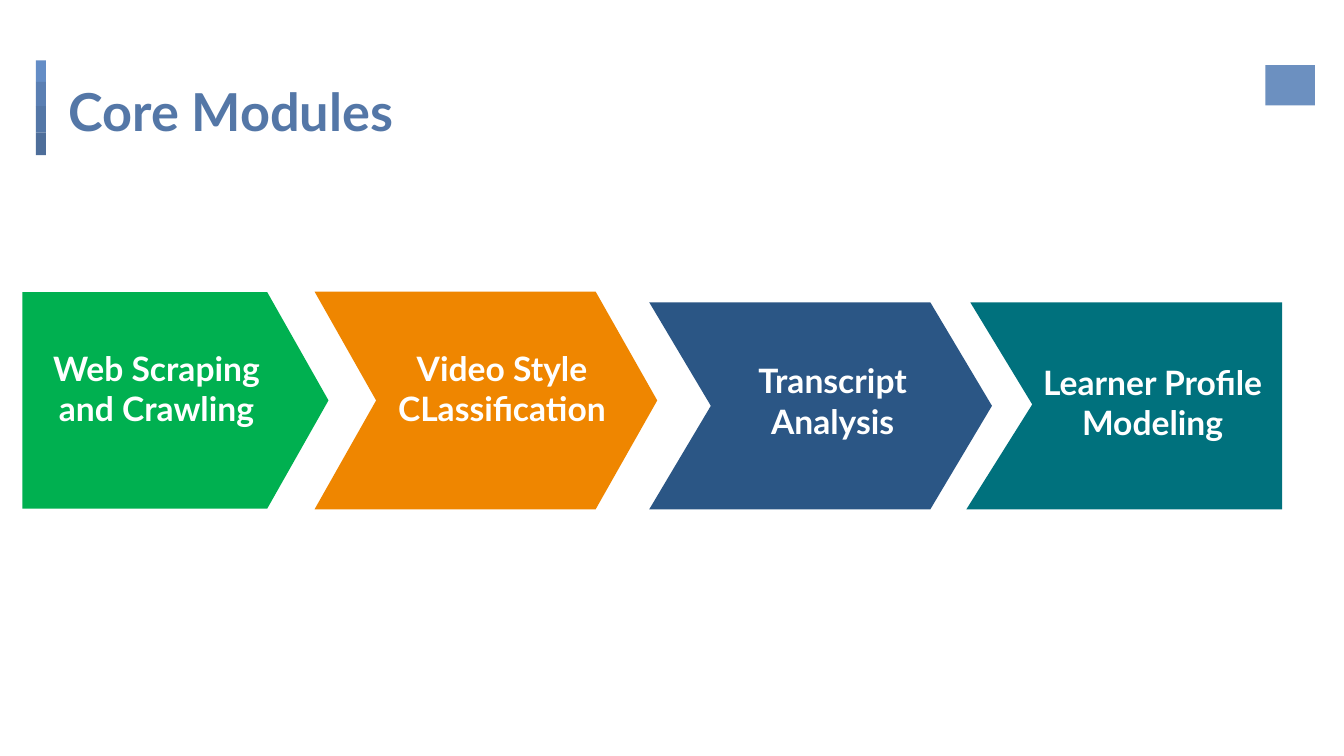
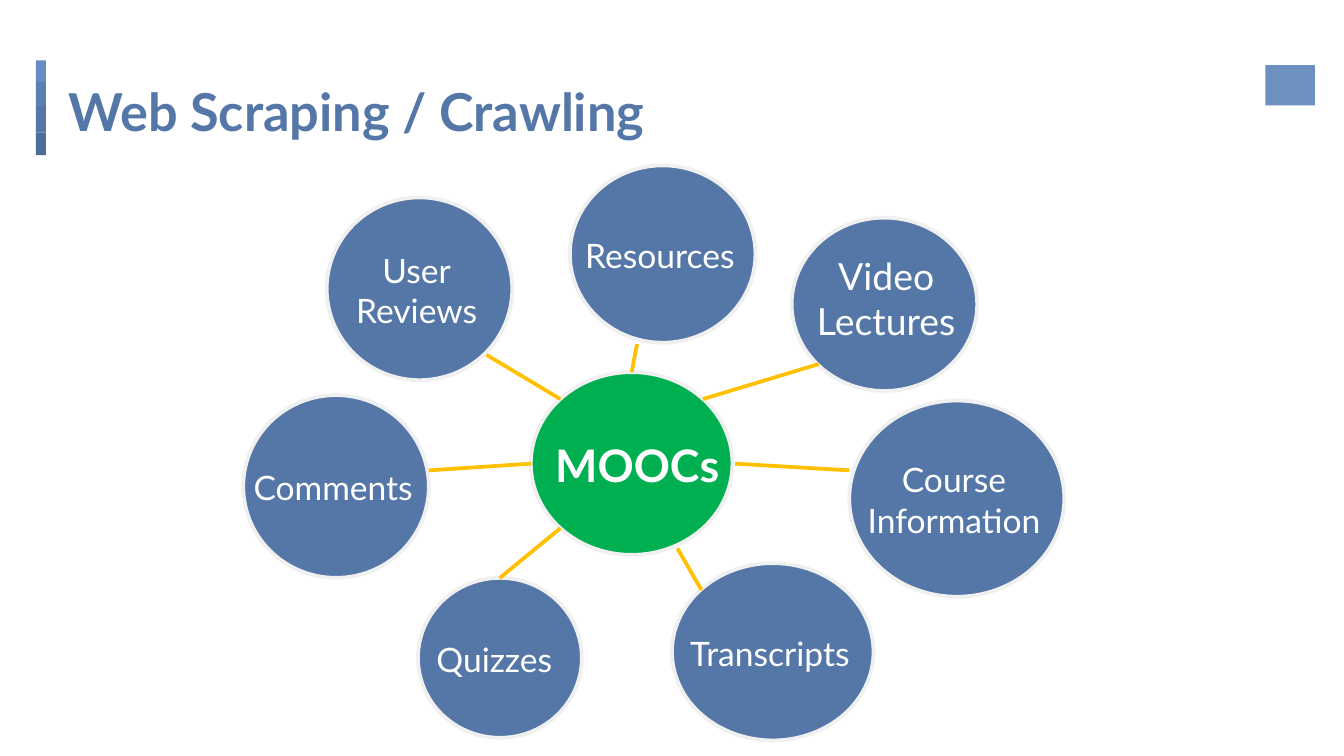
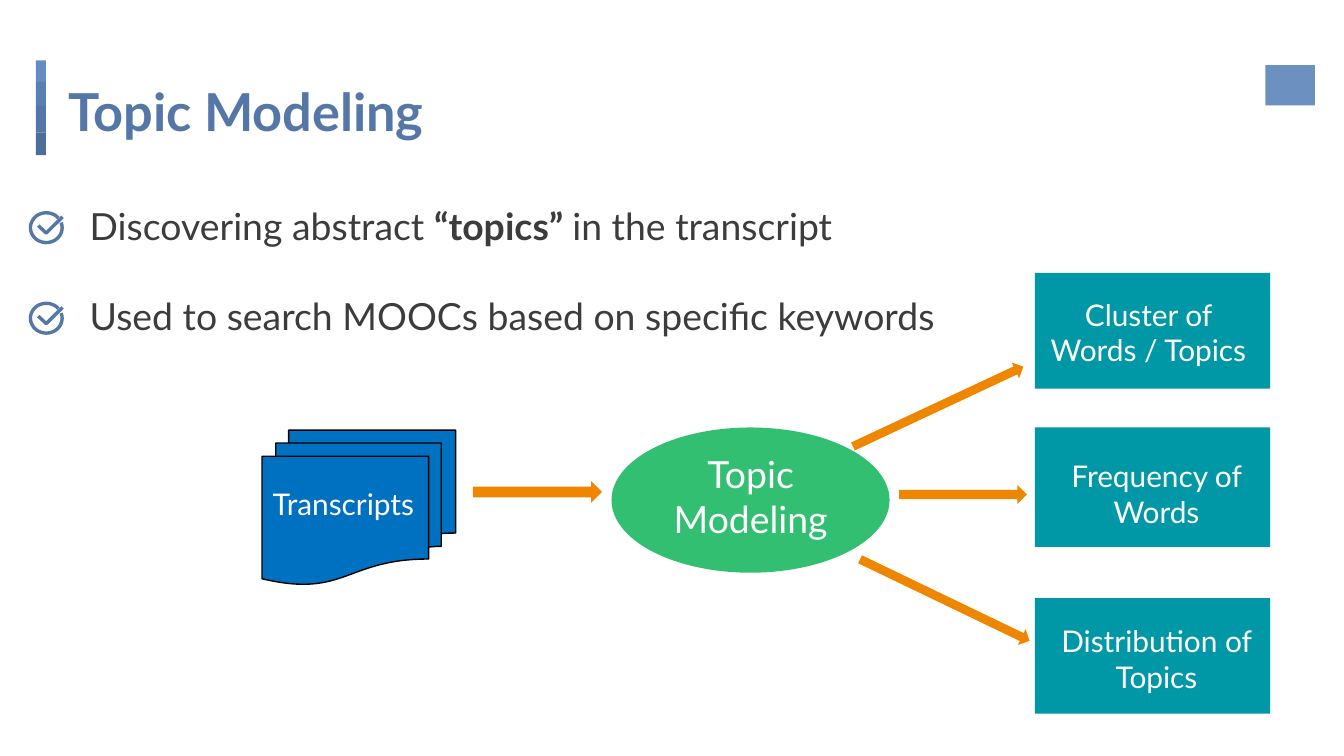
import math

from lxml import etree
from pptx import Presentation
from pptx import util as u
from pptx.dml import color
from pptx.enum import shapes, text
from pptx.oxml import ns

RGB = color.RGBColor
BLUE = RGB(0x54, 0x77, 0xA7)
BARS = [(11.5, RGB(0x64, 0x8D, 0xC6)), (13, RGB(0x5A, 0x7F, 0xB3)),
        (14.2, BLUE), (12, RGB(0x4E, 0x6E, 0x9A))]
MARK = RGB(0x6C, 0x90, 0xC0)
GREEN = RGB(0x00, 0xB0, 0x50)
MINT = RGB(0x32, 0xBF, 0x72)
ORANGE = RGB(0xEF, 0x86, 0x00)
NAVY = RGB(0x2B, 0x56, 0x85)
TEAL = RGB(0x00, 0x71, 0x7D)
AQUA = RGB(0x00, 0x97, 0xA7)
COBALT = RGB(0x00, 0x70, 0xC0)
GOLD = RGB(0xFF, 0xC0, 0x00)
PALE = RGB(0xF0, 0xF0, 0xF0)
INK = RGB(0x3C, 0x3C, 0x3C)
BLACK = RGB(0, 0, 0)
WHITE = RGB(0xFF, 0xFF, 0xFF)

KIND = shapes.MSO_SHAPE
ALIGN = text.PP_ALIGN
ANCHOR = text.MSO_ANCHOR


def pts(*nums):
    return [u.Pt(n) for n in nums]


class Deck:
    """Shared style and the slide being built."""
    FONT = "Lato"
    PAD = 7.2

    def __init__(self):
        self.prs = Presentation()
        self.prs.slide_width, self.prs.slide_height = pts(720, 405)
        self.slide = None

    def start(self, title):
        self.slide = self.prs.slides.add_slide(self.prs.slide_layouts[5])
        head = self.slide.shapes.title
        head.left, head.top, head.width, head.height = pts(29.5, 35.3, 666, 45.4)
        self.letter(head, title, 28, True, BLUE, ALIGN.LEFT, ANCHOR.TOP)
        # Side bar and corner block
        top = 32.4
        for high, tint in BARS:
            self.shape(KIND.RECTANGLE, (19.2, top, 5.4, high), tint)
            top += high
        self.shape(KIND.RECTANGLE, (677.9, 34.9, 26.6, 21.6), MARK)

    def paint(self, shape, fill=None, line=None, width=1):
        shape.shadow.inherit = False
        if fill is None:
            shape.fill.background()
        else:
            shape.fill.solid()
            shape.fill.fore_color.rgb = fill
        if line is None:
            shape.line.fill.background()
        else:
            shape.line.color.rgb = line
            shape.line.width = u.Pt(width)

    def shape(self, kind, box, fill, line=None, width=1, turn=0):
        item = self.slide.shapes.add_shape(kind, *pts(*box))
        item.rotation = turn
        self.paint(item, fill, line, width)

    def outline(self, *lines, closed=True, **look):
        """Draw each list of points as one contour of a single shape."""
        pen = self.slide.shapes.build_freeform(*pts(*lines[0][0]))
        for i, dots in enumerate(lines):
            if i:
                pen.move_to(*pts(*dots[0]))
            pen.add_line_segments([pts(*p) for p in dots[1:]], close=closed)
        self.paint(pen.convert_to_shape(), **look)

    def chevron(self, x, y, wide, high, fill, deep=33):
        edge, mid, end = x + wide - deep, y + high / 2, y + high
        self.outline([(x, y), (edge, y), (x + wide, mid), (edge, end),
                      (x, end), (x + deep, mid)], fill=fill)

    def link(self, start, end):
        line = self.slide.shapes.add_connector(
            shapes.MSO_CONNECTOR.STRAIGHT, *pts(*start, *end))
        line.line.color.rgb = GOLD
        line.line.width = u.Pt(2)
        etree.SubElement(line._element.spPr, ns.qn("a:effectLst"))

    def label(self, box, words, size, bold=False, tint=WHITE,
              align=ALIGN.CENTER, anchor=ANCHOR.MIDDLE):
        item = self.slide.shapes.add_textbox(*pts(*box))
        self.letter(item, words, size, bold, tint, align, anchor)

    def letter(self, item, words, size, bold, tint, align, anchor):
        """Fill a text frame; asterisks enclose bold words."""
        frame = item.text_frame
        pad = u.Pt(self.PAD)
        look = {"word_wrap": True, "auto_size": text.MSO_AUTO_SIZE.NONE,
                "vertical_anchor": anchor, "margin_left": pad,
                "margin_right": pad, "margin_top": pad, "margin_bottom": pad}
        for name, value in look.items():
            setattr(frame, name, value)
        for i, row in enumerate(words.split("\n")):
            para = frame.add_paragraph() if i else frame.paragraphs[0]
            para.alignment = align
            for j, part in enumerate(row.split("*")):
                run = para.add_run()
                run.text = part
                style = {"name": self.FONT, "size": u.Pt(size),
                         "bold": bold or j % 2 == 1}
                for name, value in style.items():
                    setattr(run.font, name, value)
                run.font.color.rgb = tint

    def bubble(self, words, box, fill=BLUE, size=18, bold=False,
               shift=(-1.5, 0.5)):
        self.shape(KIND.OVAL, box, fill, PALE, 2)
        x, y, wide, high = box
        dx, dy = shift
        self.label((x - 15.5 + dx, y + 20.5 + dy, wide + 31, high - 41),
                   words, size, bold)

    def arrow(self, box, turn=0):
        self.shape(KIND.RIGHT_ARROW, box, ORANGE, turn=turn)

    def point(self, y, words):
        """Ticked line of text."""
        self.label((41, y, 636.5, 45.4), words, 20, tint=INK,
                   align=ALIGN.LEFT, anchor=ANCHOR.TOP)
        cx, cy = 24.8, y + 20.5
        ring = [(cx + 8.5 * math.cos(a), cy + 8 * math.sin(a))
                for a in map(math.radians, range(-20, 321, 10))]
        tick = [(cx + dx, cy + dy)
                for dx, dy in [(-4.3, -1.1), (0, 2.9), (8.7, -5.8)]]
        self.outline(ring, tick, closed=False, line=BLUE, width=1.8)


def steps(deck):
    deck.start("Core Modules")
    # Process steps
    deck.shape(KIND.FLOWCHART_OFFPAGE_CONNECTOR, (36, 132.5, 116, 164),
               GREEN, turn=270)
    deck.outline([(517.7, 272.9), (553, 216.7), (519.8, 162), (686.9, 162),
                  (686.9, 272.9)], fill=TEAL)
    deck.chevron(168.5, 156.2, 183.6, 116.7, ORANGE)
    deck.chevron(347.8, 162, 183.6, 110.9, NAVY)
    # Step names
    for x, y, words in [(197.3, 173.5, "Video Style CLassification"),
                        (12.2, 173.5, "Web Scraping and Crawling"),
                        (374.4, 180, "Transcript Analysis"),
                        (545.8, 180.7, "Learner Profile Modeling")]:
        deck.label((x, y, 143.3, 69.1), words, 18, True)


def crawling(deck):
    deck.start("Web Scraping / Crawling")
    # Hub and its sources
    deck.bubble("Comments", (130.3, 211.7, 99.4, 97.9))
    deck.bubble("MOOCs", (284.4, 199.4, 108, 97.9), GREEN, 24, True, (3, 0.5))
    deck.bubble("Video Lectures", (424.1, 116.6, 99.4, 92.9), size=20,
                shift=(1, -3.5))
    deck.bubble("Transcripts", (360, 301.7, 108, 95))
    deck.bubble("Quizzes", (223.9, 309.6, 87.8, 85.7), shift=(-3, 0.5))
    deck.bubble("Course Information", (455, 214.6, 115.2, 105.1))
    deck.bubble("User\nReviews", (175, 105.8, 99.4, 97.9))
    deck.bubble("Resources", (305.3, 88.6, 99.4, 95))
    # Spokes
    for start, end in [((260.6, 190.1), (300.2, 213.8)),
                       ((229.7, 252), (284.4, 248.4)),
                       ((267.8, 309.6), (300.2, 283)),
                       ((362.9, 293.8), (375.8, 316.1)),
                       ((341.3, 184.3), (338.4, 199.4)),
                       ((376.6, 213.8), (438.5, 195.1)),
                       ((393.8, 248.4), (455, 252))]:
        deck.link(start, end)


def topics(deck):
    deck.start("Topic Modeling")
    # Input and model
    deck.shape(KIND.FLOWCHART_MULTIDOCUMENT, (140.4, 230.4, 103.7, 82.8),
               COBALT, BLACK, 0.75)
    deck.label((118.8, 241.9, 130.3, 56.2), "Transcripts", 16)
    deck.shape(KIND.OVAL, (327.6, 229, 149, 77.8), MINT)
    deck.label((337, 237.6, 130.3, 56.2), "Topic Modeling", 20)
    # Results
    for y, high, x, top, words in [
            (146.2, 62, 550.1, 149.8, "Cluster of Words / Topics"),
            (229, 64, 554.4, 236.2, "Frequency of Words"),
            (320.4, 62, 554.4, 324.7, "Distribution of Topics")]:
        deck.shape(KIND.RECTANGLE, (554.4, y, 126, high), AQUA)
        deck.label((x, top, 130.3, 56.2), words, 16)
    # Flow
    deck.arrow((253.4, 257.8, 69.1, 11.5))
    deck.arrow((452.2, 213.1, 100.8, 9.4), 334.9)
    deck.arrow((481.7, 259.9, 68.4, 10.1))
    deck.arrow((455.8, 316.8, 100.8, 9.4), 25.7)
    # Key points
    deck.point(101.5, "Discovering abstract *“topics” *in the transcript")
    deck.point(150, "Used to search MOOCs based on specific keywords")


def main():
    deck = Deck()
    for build in (steps, crawling, topics):
        build(deck)
    deck.prs.save("out.pptx")


if __name__ == "__main__":
    main()
